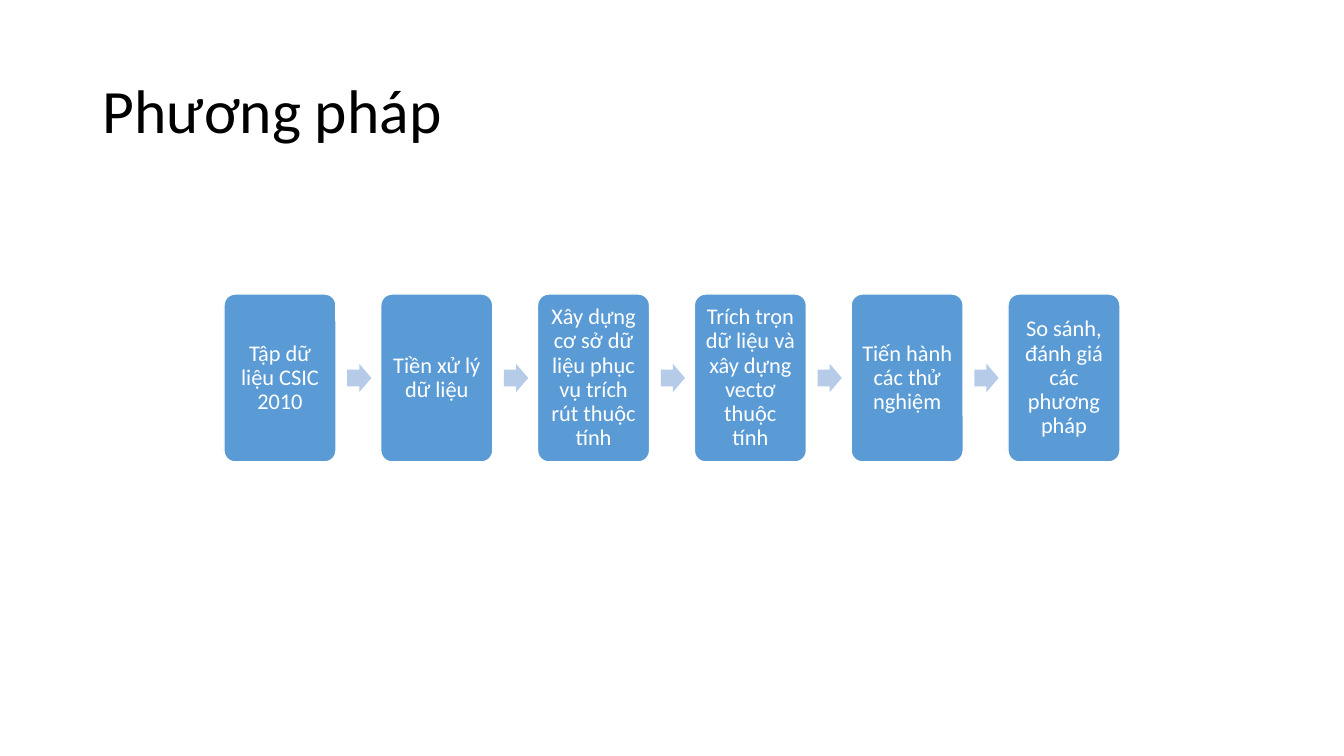
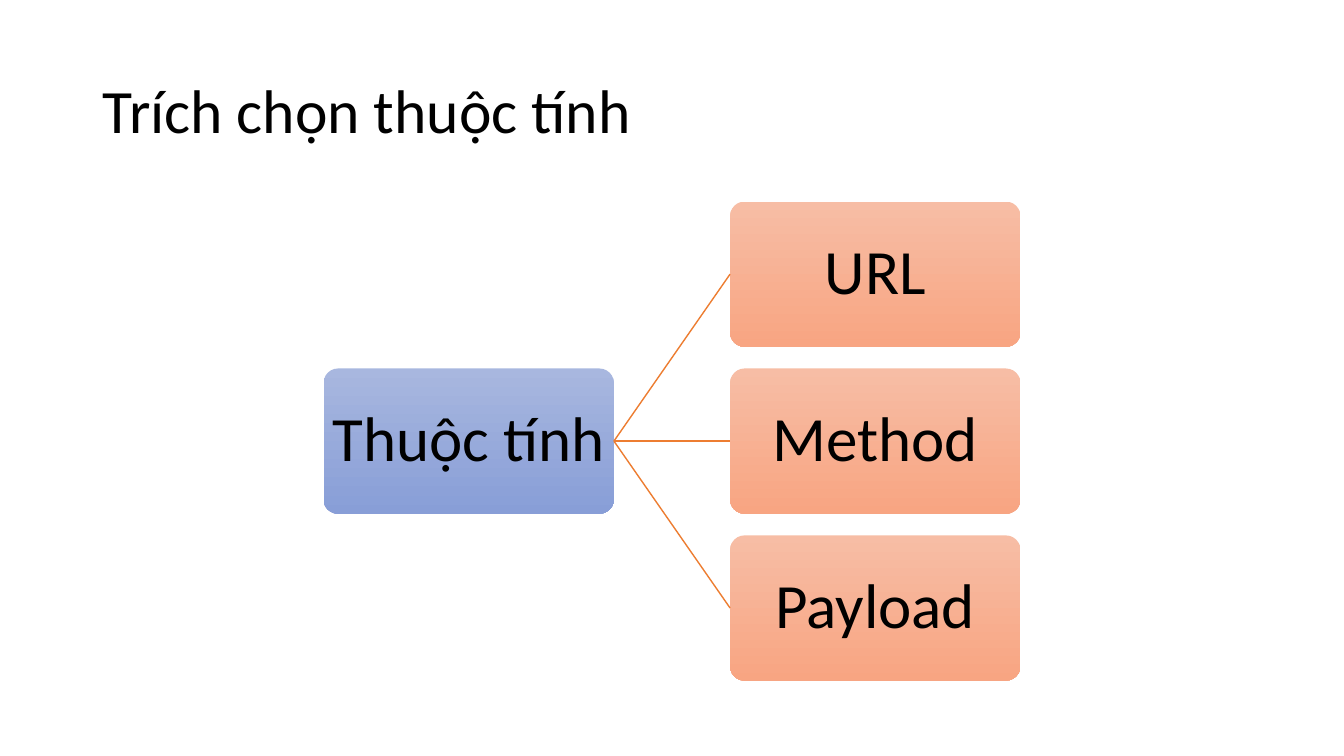
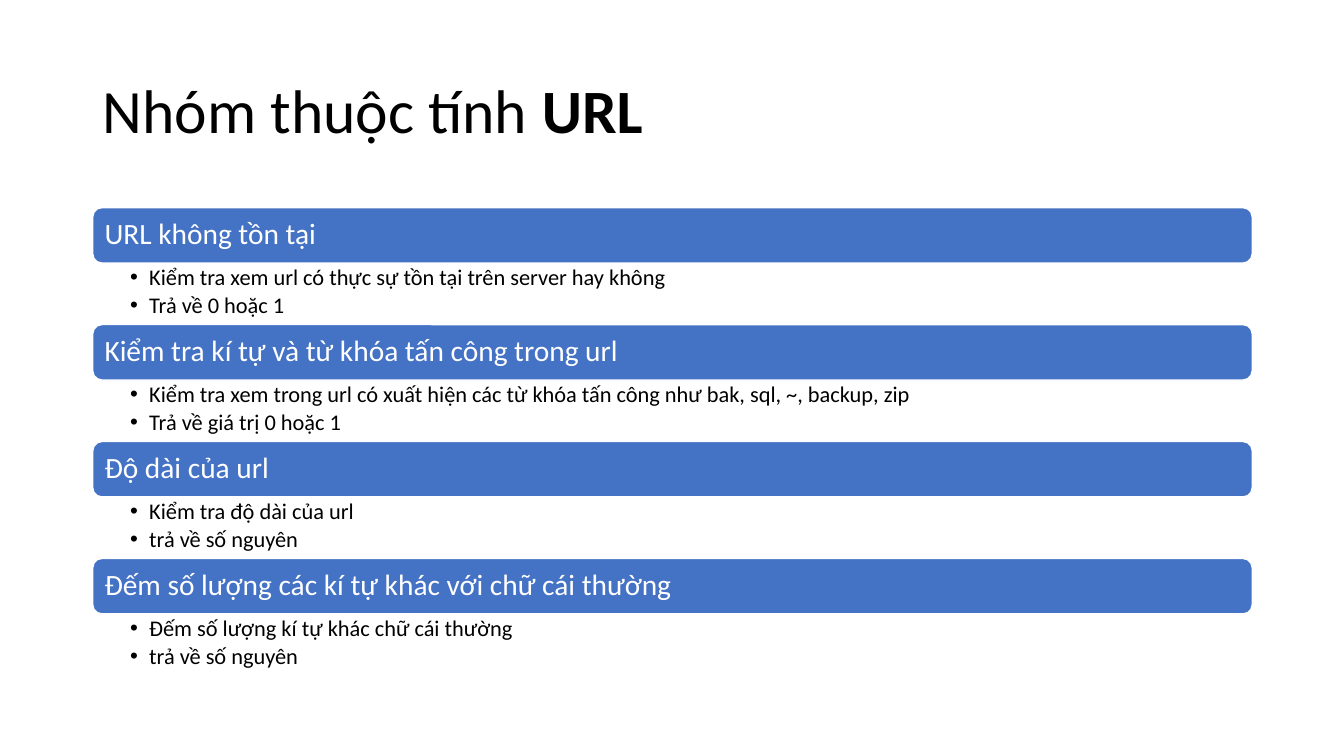
from dataclasses import dataclass

from lxml import etree
from pptx import Presentation
from pptx.dml.color import RGBColor
from pptx.enum.shapes import MSO_CONNECTOR, MSO_SHAPE
from pptx.enum.text import MSO_ANCHOR, PP_ALIGN
from pptx.oxml.ns import qn
from pptx.util import Inches, Pt

ROUNDED, ARROW = MSO_SHAPE.ROUNDED_RECTANGLE, MSO_SHAPE.RIGHT_ARROW
STRAIGHT = MSO_CONNECTOR.STRAIGHT
LEFT, CENTER = PP_ALIGN.LEFT, PP_ALIGN.CENTER
TOP, MIDDLE = MSO_ANCHOR.TOP, MSO_ANCHOR.MIDDLE
LEFT_SITE, RIGHT_SITE = 1, 3
TITLE_ONLY = 5


@dataclass(frozen=True)
class Theme:
    font: str = "Calibri"
    ink: str = "000000"
    paper: str = "FFFFFF"
    step: str = "5B9BD5"
    arrow: str = "B5CBE7"
    bar: str = "4472C4"
    branch: str = "ED7D31"
    root_gradient: tuple = ("A8B7DF", "889ED7")
    leaf_gradient: tuple = ("F7BDA5", "F8A582")
    title_size: int = 44
    node_size: int = 45
    bar_size: int = 21
    body_size: int = 16
    line_spacing: float = 0.9


THEME = Theme()
PAGE_WIDTH, PAGE_HEIGHT = 13.33, 7.5
MARGIN, CONTENT_WIDTH = 0.92, 11.5

# Titles are runs of (text, bold).
METHOD_TITLE = [("Phương pháp", False)]
STEPS = [
    "Tập dữ liệu CSIC 2010",
    "Tiền xử lý dữ liệu",
    "Xây dựng cơ sở dữ liệu phục vụ trích rút thuộc tính",
    "Trích trọn dữ liệu và xây dựng vectơ thuộc tính",
    "Tiến hành các thử nghiệm",
    "So sánh, đánh giá các phương pháp",
]
TREE_TITLE = [("Trích chọn thuộc tính", False)]
ROOT = "Thuộc tính"
LEAVES = ["URL", "Method", "Payload"]
URL_TITLE = [("Nhóm thuộc tính ", False), ("URL", True)]
URL_CHECKS = [
    ("URL không tồn tại",
     ["Kiểm tra xem url có thực sự tồn tại trên server hay không",
      "Trả về 0 hoặc 1"]),
    ("Kiểm tra kí tự và từ khóa tấn công trong url",
     ["Kiểm tra xem trong url có xuất hiện các từ khóa tấn công như bak, sql, ~, backup, zip",
      "Trả về giá trị 0 hoặc 1"]),
    ("Độ dài của url",
     ["Kiểm tra độ dài của url", "trả về số nguyên"]),
    ("Đếm số lượng các kí tự khác với chữ cái thường",
     ["Đếm số lượng kí tự khác chữ cái thường", "trả về số nguyên"]),
]


def color(value):
    return RGBColor.from_string(value)


def inches(*lengths):
    return [Inches(length) for length in lengths]


def style_span(span, size, ink, bold=False):
    span.font.name = THEME.font
    span.font.size = Pt(size)
    span.font.bold = bold
    span.font.color.rgb = color(ink)


def write(frame, lines, size, ink, align=LEFT, anchor=MIDDLE, insets=(0.1, 0.05, 0.1, 0.05)):
    frame.word_wrap = True
    frame.vertical_anchor = anchor
    (frame.margin_left, frame.margin_top,
     frame.margin_right, frame.margin_bottom) = inches(*insets)
    frame.text = "\n".join(lines)
    for para in frame.paragraphs:
        para.alignment = align
        para.line_spacing = THEME.line_spacing
        for span in para.runs:
            style_span(span, size, ink)


def add_bullets(frame, indent, gap):
    for para in frame.paragraphs:
        para.space_after = Pt(gap)
        properties = para._p.get_or_add_pPr()
        properties.set("marL", str(Inches(indent)))
        properties.set("indent", str(-Inches(indent)))
        etree.SubElement(properties, qn("a:buFont"), typeface="Arial")
        etree.SubElement(properties, qn("a:buChar"), char="•")


def add_box(slide, preset, place, fill, line=None, corner=None):
    """Add a preset shape; fill is one colour or a (top, bottom) gradient."""
    box = slide.shapes.add_shape(preset, *inches(*place))
    box.shadow.inherit = False
    if isinstance(fill, tuple):
        box.fill.gradient()
        box.fill.gradient_angle = 270
        for stop, value in zip(box.fill.gradient_stops, fill):
            stop.color.rgb = color(value)
    else:
        box.fill.solid()
        box.fill.fore_color.rgb = color(fill)
    if line:
        box.line.color.rgb = color(line)
        box.line.width = Pt(1)
    else:
        box.line.fill.background()
    if corner:
        box.adjustments[0] = corner
    return box


def add_slide(deck, title_spans):
    slide = deck.slides.add_slide(deck.slide_layouts[TITLE_ONLY])
    title = slide.shapes.title
    title.left, title.top, title.width, title.height = inches(MARGIN, 0.4, CONTENT_WIDTH, 1.45)
    write(title.text_frame, [""], THEME.title_size, THEME.ink)
    for text, bold in title_spans:
        span = title.text_frame.paragraphs[0].add_run()
        span.text = text
        style_span(span, THEME.title_size, THEME.ink, bold)
    return slide


def build_method(deck):
    slide = add_slide(deck, METHOD_TITLE)
    row_width = PAGE_WIDTH * 2 / 3
    gap_share = 0.4
    width = row_width / (len(STEPS) + gap_share * (len(STEPS) - 1))
    height, pitch = 1.5 * width, (1 + gap_share) * width
    arrow_width, arrow_height = 0.24, 0.28
    left = (PAGE_WIDTH - row_width) / 2
    middle = PAGE_HEIGHT / 2
    for index, step in enumerate(STEPS):
        x = left + index * pitch
        if index:
            add_box(slide, ARROW,
                    (x - 0.3 * width, middle - arrow_height / 2, arrow_width, arrow_height),
                    THEME.arrow).adjustments[0] = 0.6
        box = add_box(slide, ROUNDED, (x, middle - height / 2, width, height),
                      THEME.step, THEME.paper, 0.1)
        write(box.text_frame, [step], THEME.body_size, THEME.paper, CENTER, insets=(0.07,) * 4)


def build_tree(deck):
    slide = add_slide(deck, TREE_TITLE)
    top, height = 2, 1.44
    width, pitch = 2 * height, 1.15 * height
    root_left = (PAGE_WIDTH - 2.4 * width) / 2
    leaf_left = root_left + 1.4 * width

    def add_node(text, x, row, gradient):
        node = add_box(slide, ROUNDED, (x, top + row * pitch, width, height), gradient, corner=0.1)
        write(node.text_frame, [text], THEME.node_size, THEME.ink, CENTER, insets=(0.03,) * 4)
        return node

    root = add_node(ROOT, root_left, (len(LEAVES) - 1) / 2, THEME.root_gradient)
    for row, text in enumerate(LEAVES):
        leaf = add_node(text, leaf_left, row, THEME.leaf_gradient)
        branch = slide.shapes.add_connector(STRAIGHT, 0, 0, 0, 0)
        branch.begin_connect(root, RIGHT_SITE)
        branch.end_connect(leaf, LEFT_SITE)
        branch.line.color.rgb = color(THEME.branch)
        branch.line.width = Pt(1)
        etree.SubElement(branch._element.spPr, qn("a:effectLst"))


def build_url_checks(deck):
    slide = add_slide(deck, URL_TITLE)
    top, bar_height, list_height = 2.06, 0.55, 0.61
    for row, (heading, details) in enumerate(URL_CHECKS):
        y = top + row * (bar_height + list_height)
        bar = add_box(slide, ROUNDED, (MARGIN, y, CONTENT_WIDTH, bar_height),
                      THEME.bar, THEME.paper)
        write(bar.text_frame, [heading], THEME.bar_size, THEME.paper, insets=(0.09,) * 4)
        box = slide.shapes.add_textbox(
            *inches(MARGIN, y + bar_height, CONTENT_WIDTH, list_height))
        write(box.text_frame, details, THEME.body_size, THEME.ink, anchor=TOP,
              insets=(0.37, 0.03, 0.16, 0.03))
        add_bullets(box.text_frame, indent=0.19, gap=3)


def main():
    deck = Presentation()
    deck.slide_width, deck.slide_height = inches(PAGE_WIDTH, PAGE_HEIGHT)
    build_method(deck)
    build_tree(deck)
    build_url_checks(deck)
    deck.save("out.pptx")


if __name__ == "__main__":
    main()
